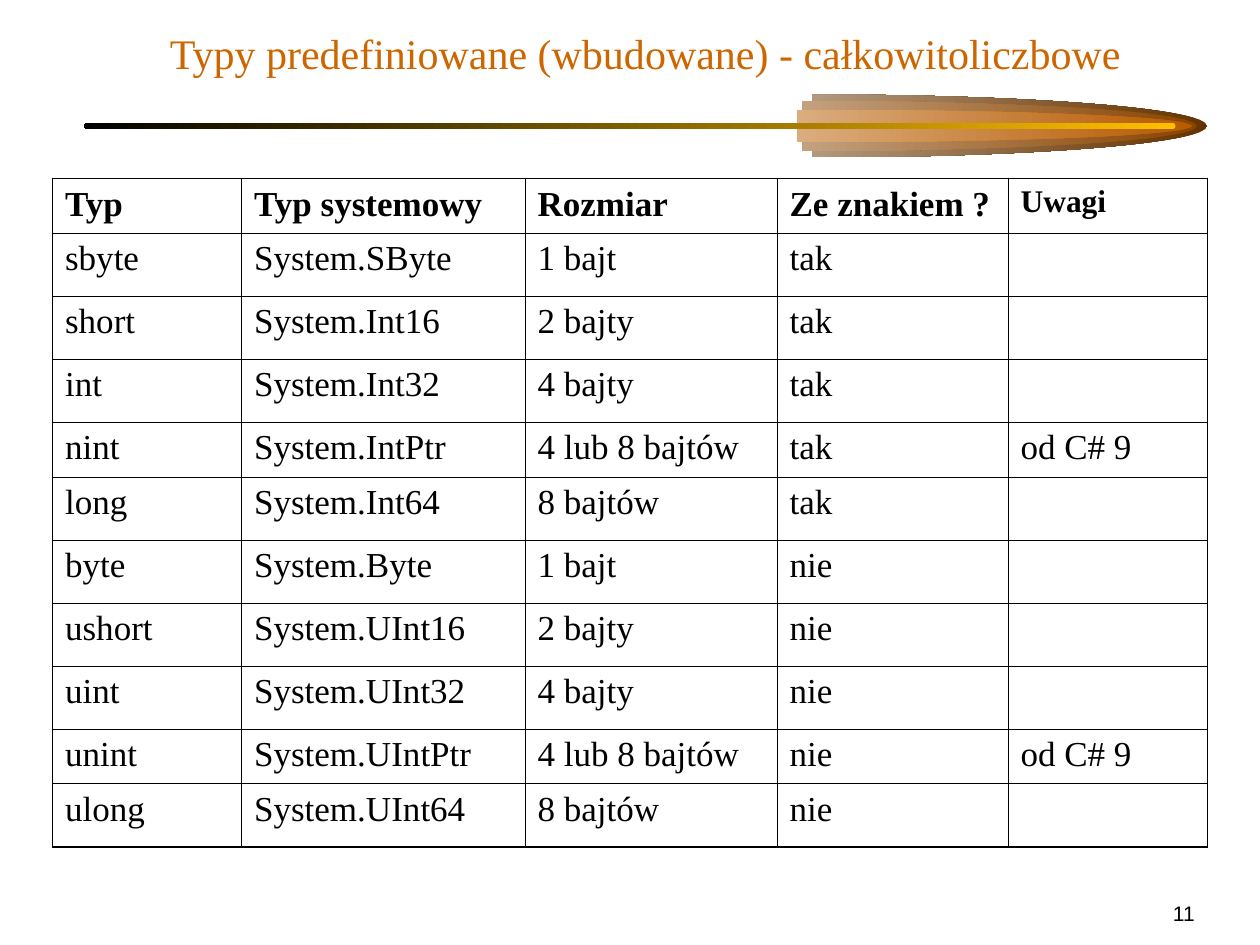
from lxml import etree
from pptx import Presentation
from pptx.dml.color import RGBColor
from pptx.enum.shapes import MSO_SHAPE
from pptx.enum.text import MSO_ANCHOR, PP_ALIGN
from pptx.oxml.ns import qn
from pptx.util import Inches, Pt

ROUND_RECT = MSO_SHAPE.ROUNDED_RECTANGLE
BOTTOM, MIDDLE = MSO_ANCHOR.BOTTOM, MSO_ANCHOR.MIDDLE
LEFT, RIGHT = PP_ALIGN.LEFT, PP_ALIGN.RIGHT

COLORS = {
    "title": "CC6600",
    "text": "000000",
    "border": "000000",
    "beam": "FFBF00",
    "beam_end": "000000",
    "outer": "663300",
    "middle": "894400",
    "inner": "B75B00",
    "flame_end": "FFFFFF",
}
SERIF, SANS = "Times New Roman", "Arial"

HEADINGS = ("Typ", "Typ systemowy", "Rozmiar", "Ze znakiem ?", "Uwagi")
INTEGER_TYPES = (
    ("sbyte", "System.SByte", "1 bajt", "tak", ""),
    ("short", "System.Int16", "2 bajty", "tak", ""),
    ("int", "System.Int32", "4 bajty", "tak", ""),
    ("nint", "System.IntPtr", "4 lub 8 bajtów", "tak", "od C# 9"),
    ("long", "System.Int64", "8 bajtów", "tak", ""),
    ("byte", "System.Byte", "1 bajt", "nie", ""),
    ("ushort", "System.UInt16", "2 bajty", "nie", ""),
    ("uint", "System.UInt32", "4 bajty", "nie", ""),
    ("unint", "System.UIntPtr", "4 lub 8 bajtów", "nie", "od C# 9"),
    ("ulong", "System.UInt64", "8 bajtów", "nie", ""),
)
COLUMN_TWELFTHS = (18, 27, 24, 22, 19)
OUTER_BORDER, INNER_BORDER = 1.08, 0.45
ARC_HANDLE = 0.55


def rgb(name):
    return RGBColor.from_string(COLORS[name])


def write(frame, text, size, font=SERIF, color="text", bold=False, align=LEFT):
    paragraph = frame.paragraphs[0]
    paragraph.alignment = align
    run = paragraph.add_run()
    run.text = text
    for attribute, value in {"size": Pt(size), "name": font, "bold": bold}.items():
        setattr(run.font, attribute, value)
    run.font.color.rgb = rgb(color)


def add_label(slide, box, text, anchor, **text_format):
    frame = slide.shapes.add_textbox(*map(Inches, box)).text_frame
    frame.word_wrap = True
    frame.vertical_anchor = anchor
    write(frame, text, **text_format)


def shade(shape, head, tail):
    shape.shadow.inherit = False
    shape.line.fill.background()
    shape.fill.gradient()
    shape.fill.gradient_angle = 180
    for stop, color in zip(shape.fill.gradient_stops, (head, tail)):
        stop.color.rgb = rgb(color)


def curve_segments(shape, count):
    segments = list(shape._element.iter(qn("a:lnTo")))[:count * 3]
    for start in range(0, len(segments), 3):
        curve = etree.Element(qn("a:cubicBezTo"))
        segments[start].addprevious(curve)
        for segment in segments[start:start + 3]:
            curve.append(segment[0])
            segment.getparent().remove(segment)


def add_flame(slide, box, part):
    left, top, width, height = box
    unit_points = (
        (0, -1), (ARC_HANDLE, -1), (1, -ARC_HANDLE), (1, 0),
        (1, ARC_HANDLE), (ARC_HANDLE, 1), (0, 1),
        (0, 0), (-1, 0), (0, 0),
    )
    points = [
        (Inches(left + width * (1 + x) / 2), Inches(top + height * (1 + y) / 2))
        for x, y in unit_points
    ]
    builder = slide.shapes.build_freeform(*points[0])
    builder.add_line_segments(points[1:], close=True)
    flame = builder.convert_to_shape()
    curve_segments(flame, 2)
    shade(flame, part, "flame_end")


def add_comet(slide, box):
    left, top, width, height = box
    middle = top + height / 2
    flame_width = 6.26
    flames = (("outer", 0, 0.5), ("middle", 0.08, 0.4), ("inner", 0.12, 0.26))
    for part, offset, flame_height in flames:
        flame_left = left + width - flame_width - offset
        flame_top = middle - flame_height / 2
        add_flame(slide, (flame_left, flame_top, flame_width, flame_height), part)

    thickness = 0.05
    beam = slide.shapes.add_shape(
        ROUND_RECT, Inches(left), Inches(middle - thickness / 2),
        Inches(width - 0.25), Inches(thickness))
    beam.adjustments[0] = 0.5
    shade(beam, "beam", "beam_end")


def set_borders(cell, widths):
    properties = cell._tc.get_or_add_tcPr()
    for side, width in widths.items():
        line = etree.SubElement(properties, qn(f"a:ln{side}"), w=str(Pt(width)))
        fill = etree.SubElement(line, qn("a:solidFill"))
        etree.SubElement(fill, qn("a:srgbClr"), val=COLORS["border"])


def size_empty(cell, size):
    paragraph = cell.text_frame.paragraphs[0]._p
    for previous in paragraph.findall(qn("a:endParaRPr")):
        paragraph.remove(previous)
    ending = etree.SubElement(paragraph, qn("a:endParaRPr"), sz=str(size * 100))
    etree.SubElement(ending, qn("a:latin"), typeface=SANS)


def add_type_table(slide, box):
    records = (HEADINGS,) + INTEGER_TYPES
    last_row, last_column = len(records) - 1, len(HEADINGS) - 1
    table = slide.shapes.add_table(
        len(records), len(HEADINGS), *map(Inches, box)).table
    table.first_row = table.horz_banding = False
    for column, twelfths in zip(table.columns, COLUMN_TWELFTHS):
        column.width = Inches(twelfths / 12)
    for r, record in enumerate(records):
        for c, text in enumerate(record):
            cell = table.cell(r, c)
            edges = {"L": c == 0, "R": c == last_column, "T": r == 0, "B": r == last_row}
            set_borders(cell, {
                side: OUTER_BORDER if outer else INNER_BORDER
                for side, outer in edges.items()
            })
            cell.fill.background()
            if text:
                size = 18 if r == 0 and c == last_column else 20
                write(cell.text_frame, text, size, bold=r == 0)
            else:
                size_empty(cell, 24)


def main():
    presentation = Presentation()
    presentation.slide_width, presentation.slide_height = Inches(10), Inches(7.5)
    slide = presentation.slides.add_slide(presentation.slide_layouts[6])
    add_comet(slide, (0.67, 0.75, 8.91, 0.5))
    add_label(slide, (1.25, 0.17, 8.5, 0.5),
              "Typy predefiniowane (wbudowane) - całkowitoliczbowe",
              BOTTOM, size=24, color="title")
    add_type_table(slide, (5 / 12, 17 / 12, sum(COLUMN_TWELFTHS) / 12, 4.76))
    add_label(slide, (8.5, 7.08, 1.08, 0.33), "11", MIDDLE,
              size=12, font=SANS, align=RIGHT)
    presentation.save("out.pptx")


if __name__ == "__main__":
    main()
